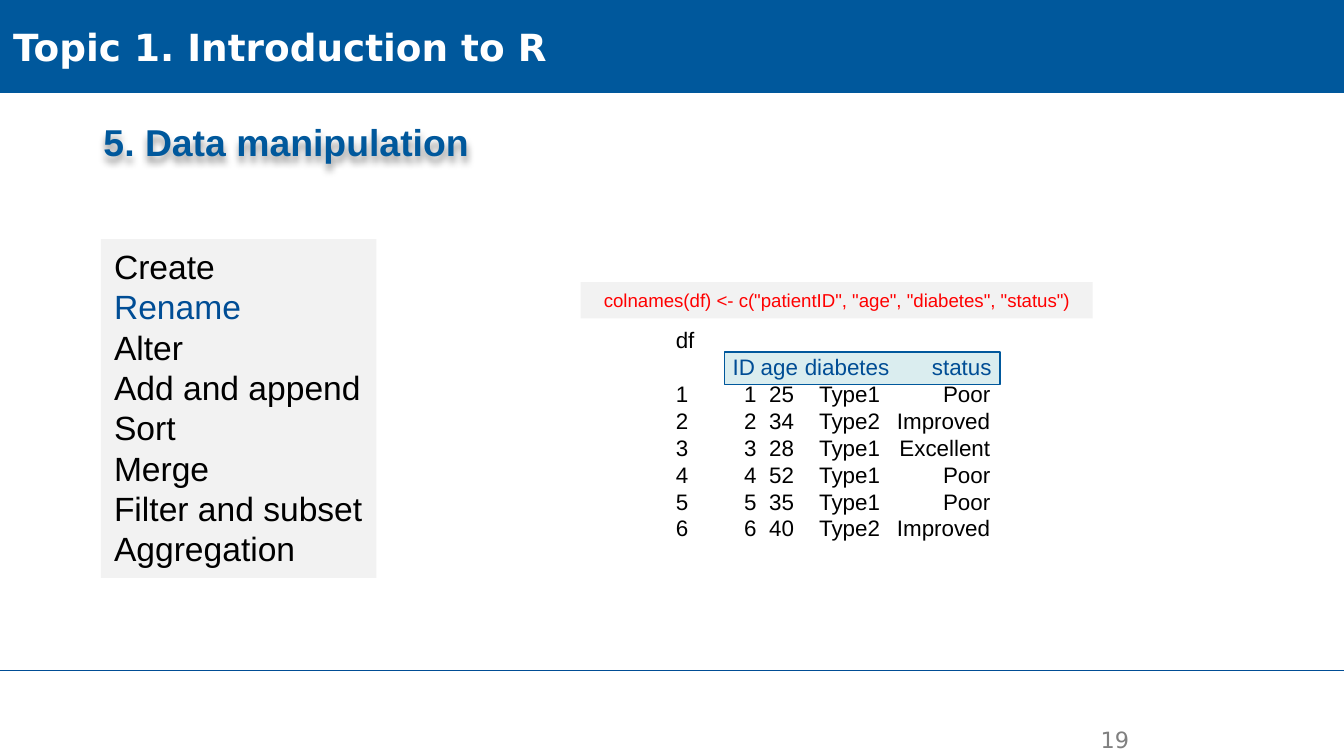
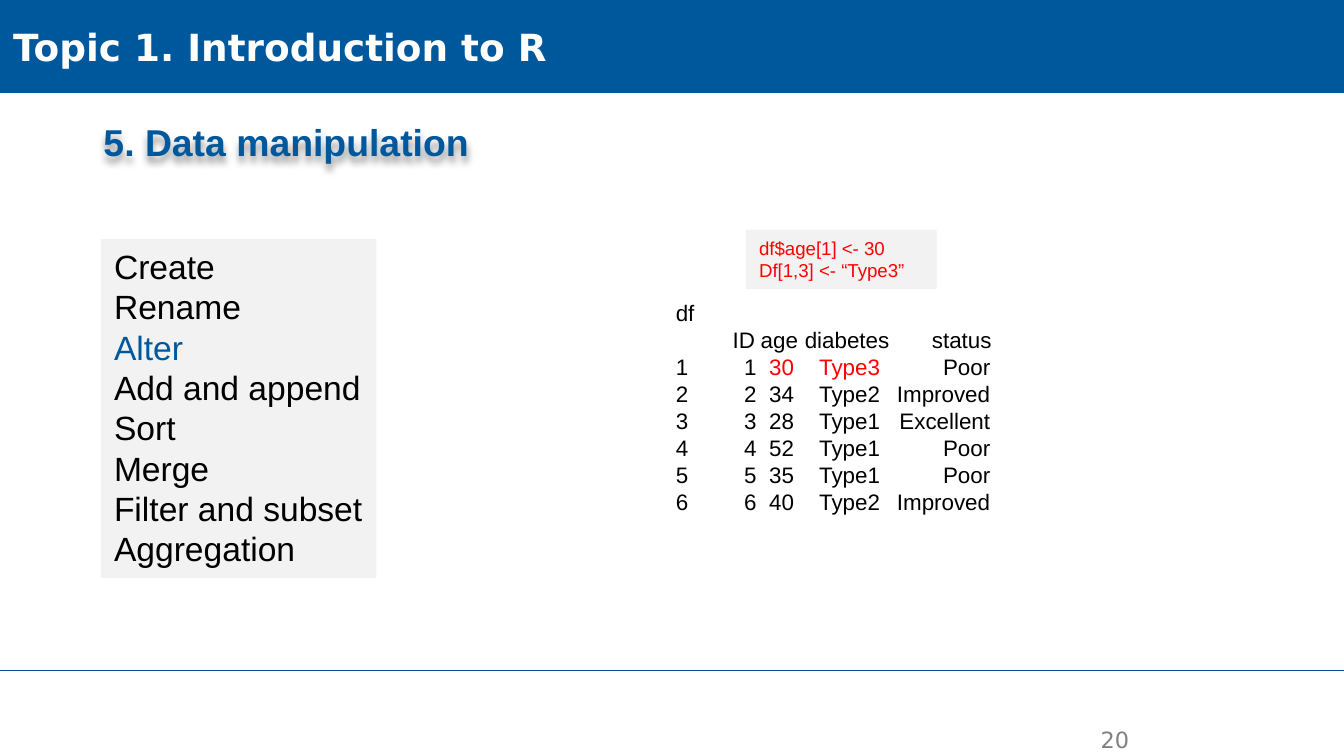
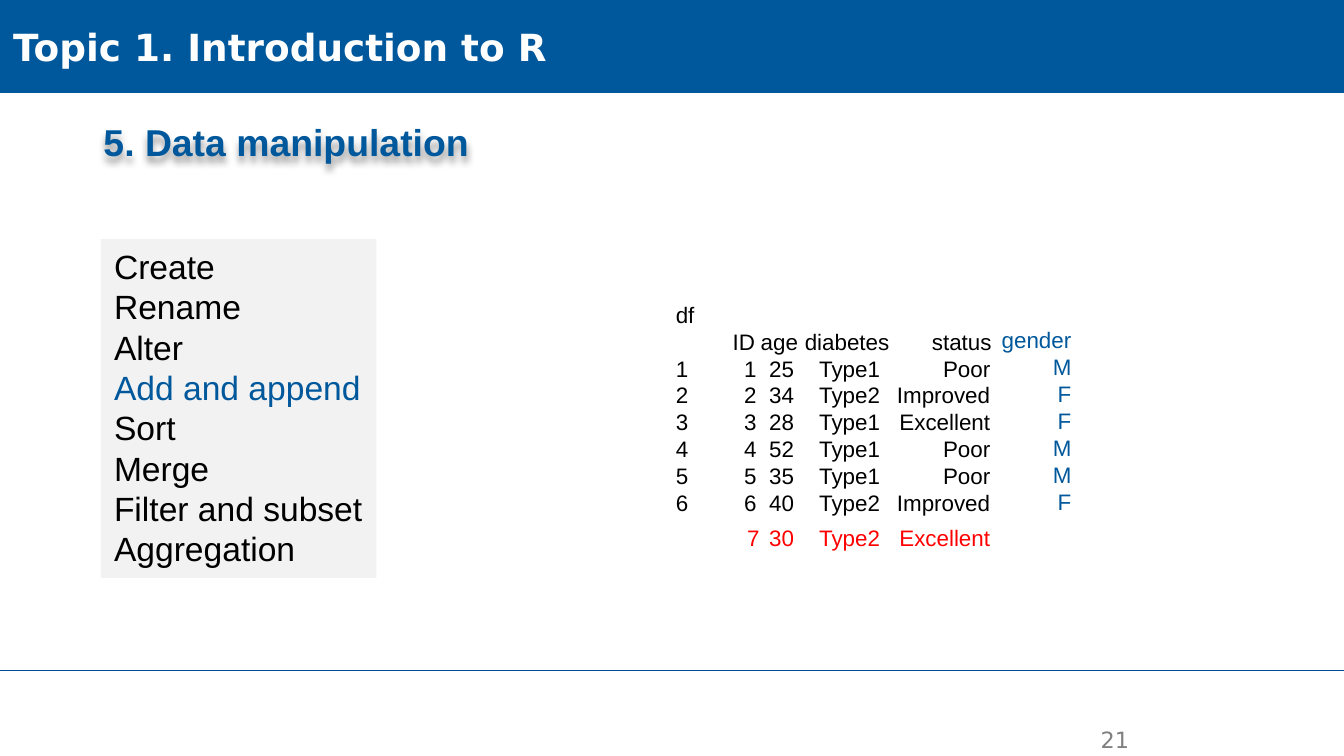
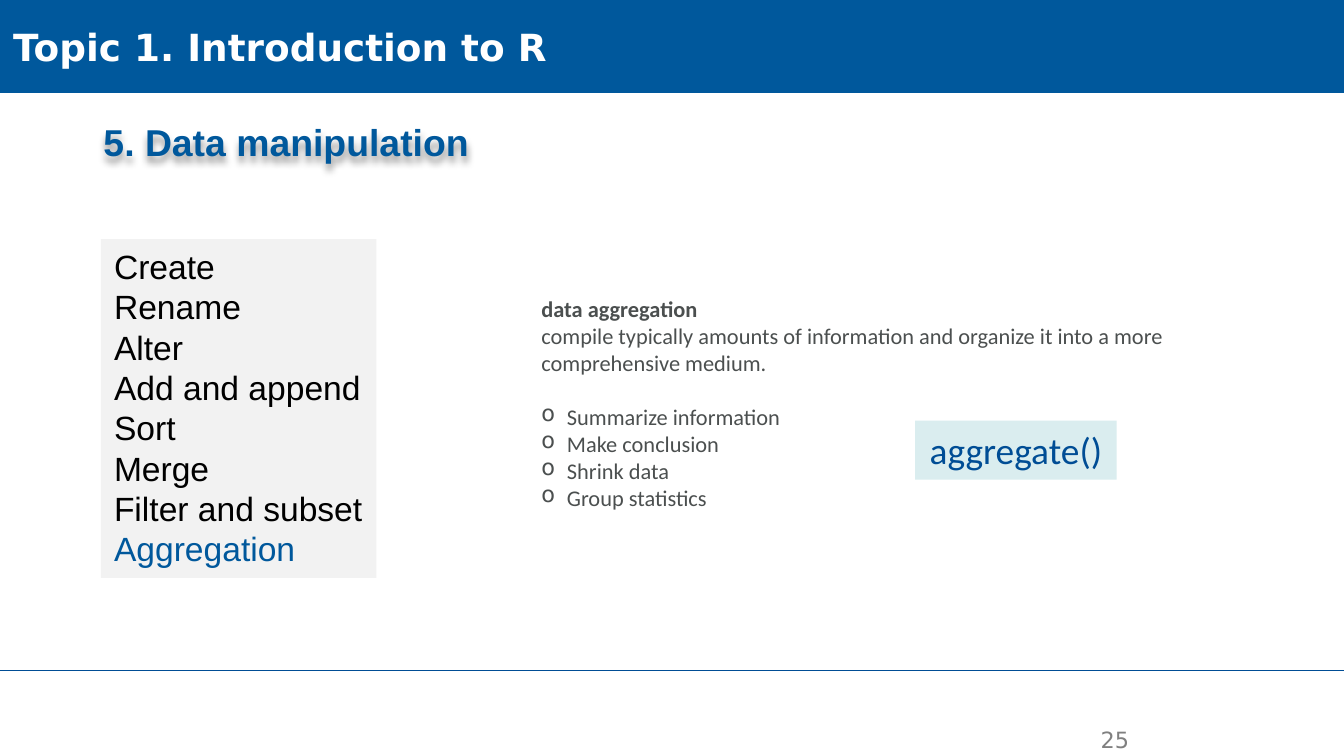
from lxml import etree
from pptx import Presentation
from pptx.dml.color import RGBColor
from pptx.enum.shapes import MSO_CONNECTOR, MSO_SHAPE
from pptx.enum.text import MSO_ANCHOR, MSO_AUTO_SIZE, PP_ALIGN
from pptx.oxml.ns import qn
from pptx.util import Inches, Pt

LEFT, MID, RIGHT = PP_ALIGN.LEFT, PP_ALIGN.CENTER, PP_ALIGN.RIGHT
TOP, CENTER = MSO_ANCHOR.TOP, MSO_ANCHOR.MIDDLE
GROW, RECT = MSO_AUTO_SIZE.SHAPE_TO_FIT_TEXT, MSO_SHAPE.RECTANGLE

WIDE = 10
HIGH = WIDE * 9 / 16
BLUE, NAVY, RED, BLACK = "00589C", "004D95", "FF0000", "000000"
PALE, MINT, GRAY, SLATE, WHITE = "F2F2F2", "DAEDEF", "808080", "4B4F4F", "FFFFFF"
SANS, TEXT, WEB = "Arial", "Calibri", "DejaVu Sans"

TOPIC = "Topic 1. Introduction to R"
HEAD = "5. Data manipulation"
STEPS = ["Create", "Rename", "Alter", "Add and append", "Sort", "Merge",
         "Filter and subset", "Aggregation"]
FIELDS = ["ID", "age", "diabetes", "status"]
CASES = [
    ["1", "25", "Type1", "Poor"],
    ["2", "34", "Type2", "Improved"],
    ["3", "28", "Type1", "Excellent"],
    ["4", "52", "Type1", "Poor"],
    ["5", "35", "Type1", "Poor"],
    ["6", "40", "Type2", "Improved"],
]
ALTERED = [["1", "30", "Type3", "Poor"]] + CASES[1:]
ADDED = ["7", "30", "Type2", "Excellent"]
GENDER = ["gender", "M", "F", "F", "M", "M", "F"]
RENAME = 'colnames(df) <- c("patientID", "age", "diabetes", "status")'
ALTER = ["df$age[1] <- 30", "Df[1,3] <- “Type3”"]
MEANING = [
    "data aggregation",
    "compile typically amounts of information and organize it into a more "
    "comprehensive medium.",
]
USES = ["Summarize information", "Make conclusion", "Shrink data", "Group statistics"]

# Right edges of the data columns, in inches from the text's left edge
HEAD_STOPS = [0.59, 0.91, 1.59, 2.35]
CASE_STOPS = [0.6, 0.88, 1.52, 2.34]
FRAME_X, ADDED_X = 4.93, 5.46


def color(text):
    return RGBColor.from_string(text)


def child(node, tag, **attrs):
    return etree.SubElement(node, qn(tag), attrs)


def style(run, size, hue, font, bold=False):
    run.font.size, run.font.name, run.font.bold = Pt(size), font, bold
    run.font.color.rgb = color(hue)


def stops(para, edges):
    tabs = child(para._p.get_or_add_pPr(), "a:tabLst")
    for edge in edges:
        child(tabs, "a:tab", pos=str(Inches(edge)), algn="r")


def bullet(para):
    props = para._p.get_or_add_pPr()
    props.set("marL", str(Inches(0.19)))
    props.set("indent", str(-Inches(0.19)))
    child(props, "a:buChar", char="o")


def write(shape, lines, size=12, hue=BLACK, font=SANS, align=LEFT, bold=False,
          anchor=TOP, tint=None):
    """Fill a shape with lines; tint maps a line's index to another colour."""
    frame = shape.text_frame
    frame.word_wrap, frame.vertical_anchor = True, anchor
    frame.text = "\n".join(lines)
    for i, para in enumerate(frame.paragraphs):
        para.alignment = align
        for run in para.runs:
            style(run, size, (tint or {}).get(i, hue), font, bold)
    return frame


def label(slide, at, lines, **look):
    box = slide.shapes.add_textbox(*map(Inches, at))
    frame = write(box, lines, **look)
    frame.auto_size = GROW
    return frame


def panel(slide, at, fill, edge=None, lines=(), **look):
    box = slide.shapes.add_shape(RECT, *map(Inches, at))
    box.shadow.inherit = False
    box.fill.solid()
    box.fill.fore_color.rgb = color(fill)
    if edge:
        box.line.color.rgb, box.line.width = color(edge), Pt(0.75)
    else:
        box.line.fill.background()
    if lines:
        write(box, lines, **look)


def title(slide):
    """Place the heading, with a soft shadow below its letters."""
    shape = slide.shapes.title
    shape.left, shape.top, shape.width, shape.height = map(
        Inches, (0.67, 0.84, 2.94, 0.44))
    frame = write(shape, [HEAD], size=20, hue=BLUE, bold=True)
    frame.word_wrap, frame.auto_size = False, GROW
    shape.fill.background()
    glow = child(shape._element.spPr, "a:effectLst")
    shade = child(glow, "a:outerShdw", blurRad=str(Pt(4)), dist=str(Pt(3)),
                  dir="5400000", algn="t", rotWithShape="0")
    child(child(shade, "a:srgbClr", val=BLACK), "a:alpha", val="40000")


def start(deck, number, step, hue=BLUE):
    """Add a slide with the shared parts, one step of the list coloured."""
    slide = deck.slides.add_slide(deck.slide_layouts[5])
    title(slide)
    rule = slide.shapes.add_connector(
        MSO_CONNECTOR.STRAIGHT, 0, Inches(4.99), Inches(WIDE), Inches(4.99))
    rule.line.color.rgb, rule.line.width = color(NAVY), Pt(0.5)
    child(rule._element.spPr, "a:effectLst")
    panel(slide, (0, 0, WIDE, 0.69), BLUE, BLUE, [TOPIC], size=20, hue=WHITE,
          font=WEB, bold=True, anchor=CENTER)
    label(slide, (7.58, 5.35, 0.92, 0.28), [str(number)], hue=GRAY, font=WEB,
          align=RIGHT)
    panel(slide, (0.75, 1.78, 2.05, 2.52), PALE, lines=STEPS, size=18,
          tint={STEPS.index(step): hue})
    return slide


def table(slide, top, cases, head=BLACK, marks=()):
    """Print the data frame on tab stops; marks are red (case, field) pairs."""
    frame = label(slide, (FRAME_X, top, 2.59, 1.72), ["df"])
    for i, cells in enumerate([FIELDS] + cases):
        para = frame.add_paragraph()
        stops(para, CASE_STOPS if i else HEAD_STOPS)
        if i:
            run = para.add_run()
            run.text = str(i)
            style(run, 12, BLACK, SANS)
        for j, cell in enumerate(cells):
            run = para.add_run()
            run.text = "\t" + cell
            hue = RED if (i, j) in marks else BLACK
            style(run, 12, hue if i else head, SANS)


def rename(deck):
    slide = start(deck, 19, "Rename", NAVY)
    panel(slide, (5.39, 2.62, 2.05, 0.24), MINT, BLUE)
    table(slide, 2.38, CASES, NAVY)
    panel(slide, (4.32, 2.1, 3.81, 0.27), PALE, lines=[RENAME], size=10,
          hue=RED, align=MID)


def alter(deck):
    slide = start(deck, 20, "Alter")
    table(slide, 2.18, ALTERED, marks=[(1, 1), (1, 2)])
    panel(slide, (5.55, 1.71, 1.42, 0.44), PALE, lines=ALTER, size=10, hue=RED)


def append(deck):
    slide = start(deck, 21, "Add and append")
    table(slide, 2.19, CASES)
    label(slide, (7.35, 2.38, 0.72, 1.51), GENDER, hue=BLUE, align=RIGHT)
    frame = label(slide, (ADDED_X, 3.85, 2.22, 0.3), ["\t".join(ADDED)], hue=RED)
    shift = ADDED_X - FRAME_X
    stops(frame.paragraphs[0], [edge - shift for edge in CASE_STOPS[1:]])


def gather(deck):
    slide = start(deck, 25, "Aggregation")
    frame = label(slide, (3.93, 2.15, 5.35, 1.72), MEANING + USES, hue=SLATE,
                  font=TEXT)
    frame.paragraphs[0].runs[0].font.bold = True
    uses = frame.paragraphs[len(MEANING):]
    uses[0].space_before = Pt(14.4)
    for para in uses:
        bullet(para)
    panel(slide, (6.81, 3.13, 1.5, 0.44), MINT, lines=["aggregate()"], size=20,
          hue=NAVY, font=TEXT, align=MID)


def main():
    deck = Presentation()
    deck.slide_width, deck.slide_height = Inches(WIDE), Inches(HIGH)
    for build in (rename, alter, append, gather):
        build(deck)
    deck.save("out.pptx")


if __name__ == "__main__":
    main()
